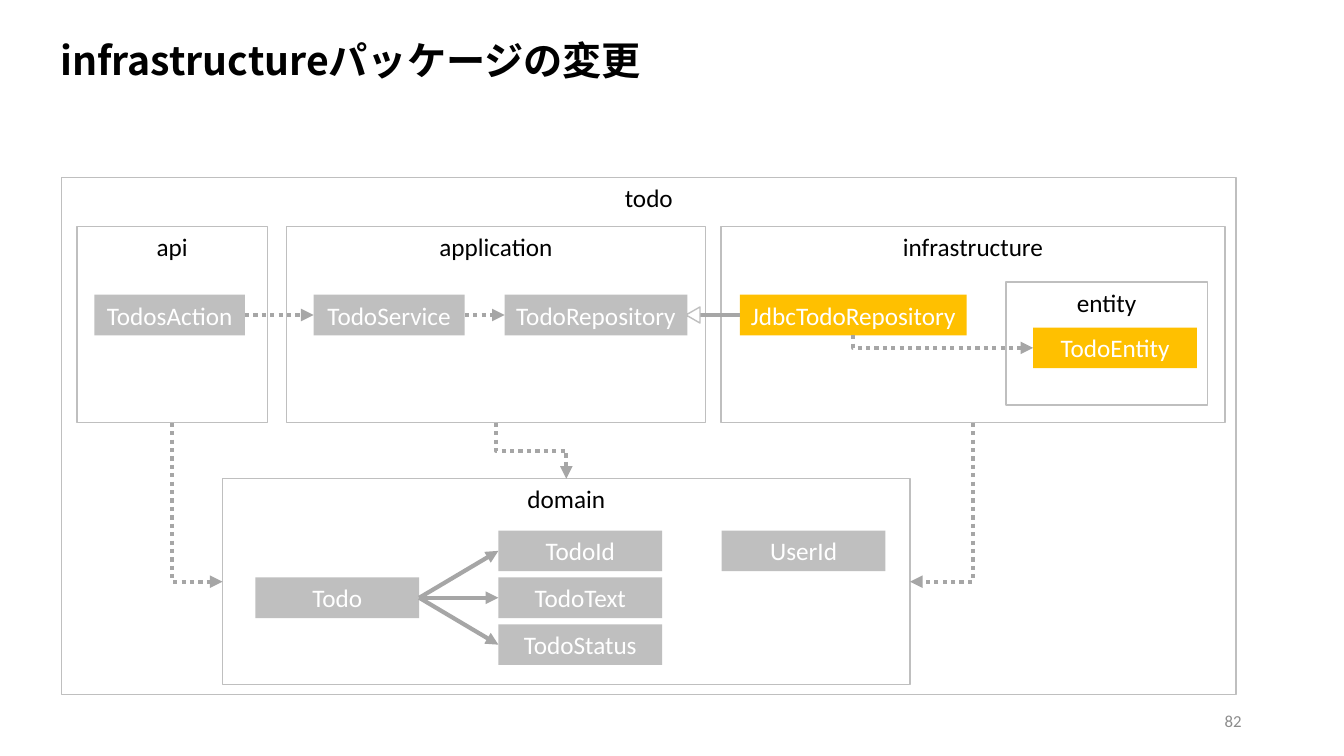
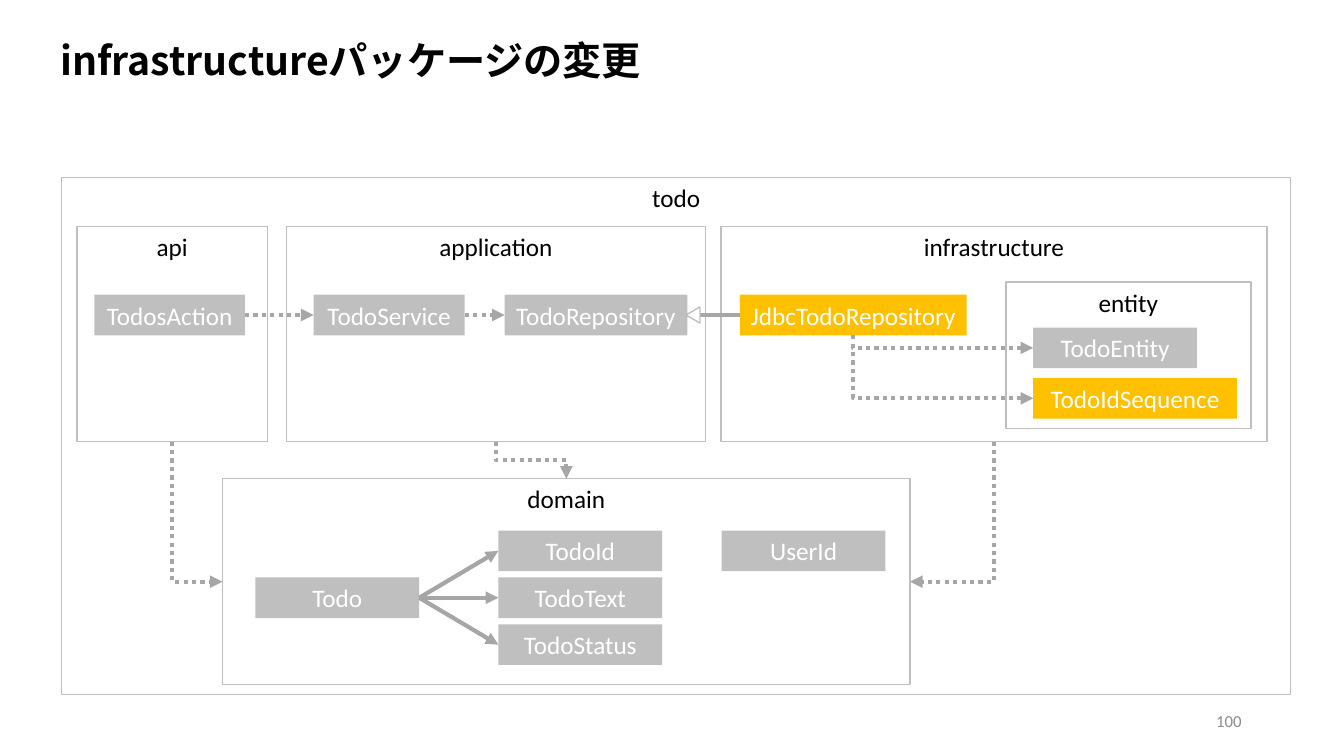
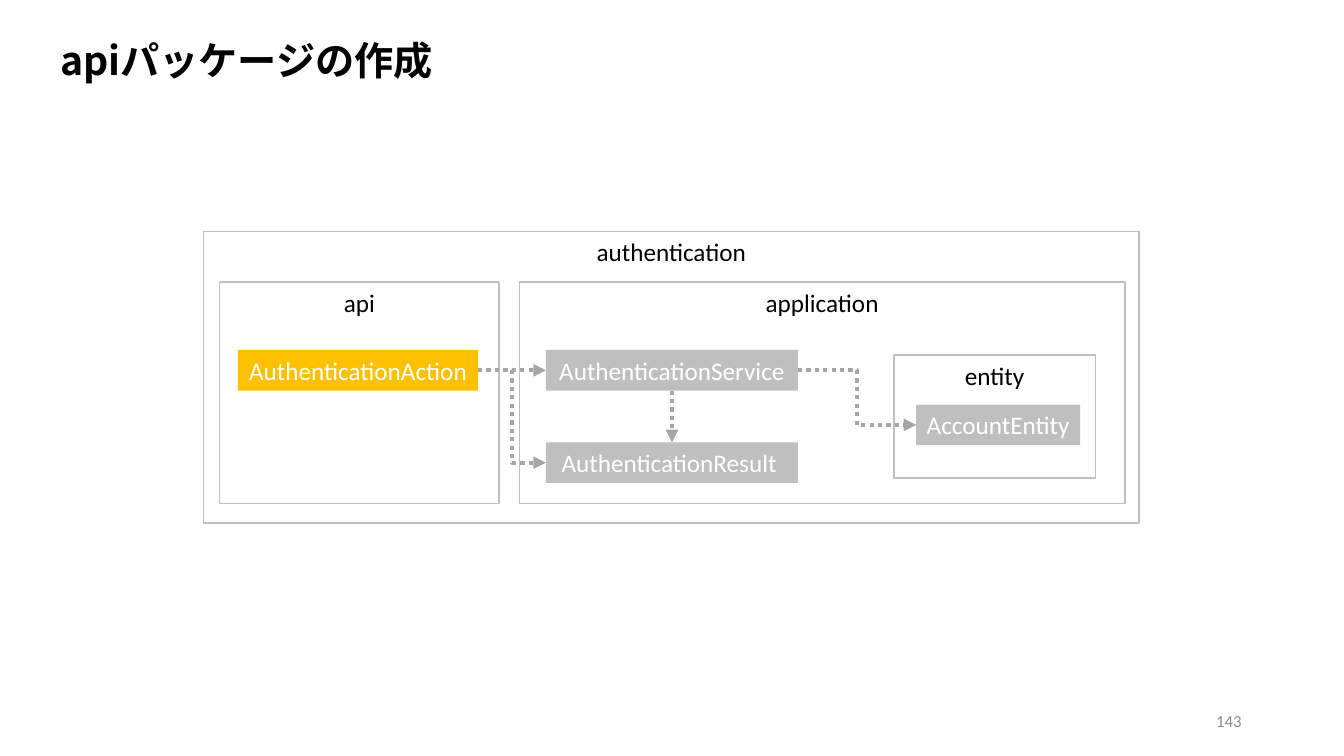
"""Build three package-dependency slides."""
from pptx import Presentation
from pptx.dml.color import RGBColor
from pptx.enum.dml import MSO_LINE
from pptx.enum.shapes import MSO_CONNECTOR, MSO_SHAPE
from pptx.enum.text import MSO_ANCHOR, PP_ALIGN
from pptx.oxml.ns import qn
from pptx.oxml.xmlchemy import OxmlElement
from pptx.util import Pt

RECTANGLE, TRIANGLE = MSO_SHAPE.RECTANGLE, MSO_SHAPE.ISOSCELES_TRIANGLE
STRAIGHT, ELBOW = MSO_CONNECTOR.STRAIGHT, MSO_CONNECTOR.ELBOW
LEFT, CENTER, RIGHT = PP_ALIGN.LEFT, PP_ALIGN.CENTER, PP_ALIGN.RIGHT
TOP, MIDDLE = MSO_ANCHOR.TOP, MSO_ANCHOR.MIDDLE
DOTTED = MSO_LINE.ROUND_DOT
TOP_SIDE, LEFT_SIDE, BOTTOM_SIDE, RIGHT_SIDE = range(4)

COLORS = {"text": "000000", "white": "FFFFFF", "gray": "BFBFBF",
          "highlight": "FFC000", "arrow": "A6A6A6", "page": "8C8C8C"}
BODY_FONT, TITLE_FONT = "Calibri", "Noto Sans CJK JP"
CLASS_HEIGHT = 29

ROW_TOP, CLASS_TOP = 162, 210.5
DOMAIN_TOP, DOMAIN_STEP, DOMAIN_CLASS_WIDTH = 379, 33.5, 117


def todo_packages(width, row_height, infrastructure_width, entity_size):
    """Return the package frames of the todo application."""
    return {
        "todo": (44, 127, width, 369),
        "api": (55, ROW_TOP, 136, row_height),
        "application": (204.5, ROW_TOP, 299.5, row_height),
        "infrastructure": (515, ROW_TOP, infrastructure_width, row_height),
        "domain": (159, 342, 491, 147),
        "entity": (718.5, 201.5, *entity_size),
    }


TODO_CLASSES = {
    "TodosAction": (67.5, CLASS_TOP, 107.5),
    "TodoService": (224, CLASS_TOP, 108),
    "TodoRepository": (360.5, CLASS_TOP, 130.5),
    "JdbcTodoRepository": (528.5, CLASS_TOP, 162),
    "Todo": (182.5, DOMAIN_TOP + DOMAIN_STEP, DOMAIN_CLASS_WIDTH),
    **{name: (356, DOMAIN_TOP + index * DOMAIN_STEP, DOMAIN_CLASS_WIDTH)
       for index, name in enumerate(("TodoId", "TodoText", "TodoStatus"))},
    "UserId": (515.5, DOMAIN_TOP, DOMAIN_CLASS_WIDTH),
    "TodoEntity": (738, 234, 117),
}
TODO_USES = [
    ("TodosAction", RIGHT_SIDE, "TodoService", LEFT_SIDE),
    ("TodoService", RIGHT_SIDE, "TodoRepository", LEFT_SIDE),
    ("JdbcTodoRepository", BOTTOM_SIDE, "TodoEntity", LEFT_SIDE),
    ("infrastructure", BOTTOM_SIDE, "domain", RIGHT_SIDE),
    ("application", BOTTOM_SIDE, "domain", TOP_SIDE),
    ("api", BOTTOM_SIDE, "domain", LEFT_SIDE),
]
TODO_OWNS = [("Todo", name) for name in ("TodoId", "TodoText", "TodoStatus")]
TODO_INHERITS = [("JdbcTodoRepository", "TodoRepository")]

SLIDES = [
    {
        "title": "infrastructureパッケージの変更", "page": "82",
        "packages": todo_packages(839, 140, 360, (144, 88)),
        "classes": TODO_CLASSES,
        "highlights": {"JdbcTodoRepository", "TodoEntity"},
        "uses": TODO_USES, "owns": TODO_OWNS, "inherits": TODO_INHERITS,
    },
    {
        "title": "infrastructureパッケージの変更", "page": "100",
        "packages": todo_packages(878, 153.5, 390, (175, 104.5)),
        "classes": {**TODO_CLASSES, "TodoIdSequence": (738, 270, 145.5)},
        "highlights": {"JdbcTodoRepository", "TodoIdSequence"},
        "uses": TODO_USES + [
            ("JdbcTodoRepository", BOTTOM_SIDE, "TodoIdSequence", LEFT_SIDE)],
        "owns": TODO_OWNS, "inherits": TODO_INHERITS,
    },
    {
        "title": "apiパッケージの作成", "page": "143",
        "packages": {
            "authentication": (145.5, 165.5, 668, 208),
            "api": (157, 201.5, 199.5, 158),
            "application": (371, 201.5, 432.5, 158),
            "entity": (638.5, 253.5, 144, 88),
        },
        "classes": {
            "AuthenticationAction": (170, 250, 171.5),
            "AuthenticationService": (390, 250, 180),
            "AuthenticationResult ": (390, 316, 180),
            "AccountEntity": (654.5, 289, 117),
        },
        "highlights": {"AuthenticationAction"},
        "uses": [
            ("AuthenticationAction", RIGHT_SIDE, "AuthenticationService", LEFT_SIDE),
            ("AuthenticationService", BOTTOM_SIDE, "AuthenticationResult ", TOP_SIDE),
            ("AuthenticationService", RIGHT_SIDE, "AccountEntity", LEFT_SIDE),
            ("AuthenticationAction", RIGHT_SIDE, "AuthenticationResult ", LEFT_SIDE),
        ],
        "owns": [], "inherits": [],
    },
]


def color(name):
    """Return the named colour."""
    return RGBColor.from_string(COLORS[name])


def write(shape, text, size=18, font=BODY_FONT, fill="text", bold=False,
          align=CENTER, anchor=TOP, wrap=True, spacing=None):
    """Write one formatted paragraph into a shape."""
    frame = shape.text_frame
    frame.word_wrap = wrap
    frame.vertical_anchor = anchor
    paragraph = frame.paragraphs[0]
    paragraph.alignment = align
    paragraph.line_spacing = spacing
    run = paragraph.add_run()
    run.text = text
    run.font.size, run.font.name, run.font.bold = Pt(size), font, bold
    run.font.color.rgb = color(fill)
    east_asian = OxmlElement("a:ea")
    east_asian.set("typeface", font)
    run.font._element.find(qn("a:latin")).addnext(east_asian)


def add_text(slide, text, box, **style):
    """Add a text box."""
    write(slide.shapes.add_textbox(*map(Pt, box)), text, **style)


def add_block(slide, kind, box, fill=None, line=None):
    """Add a flat preset shape."""
    shape = slide.shapes.add_shape(kind, *map(Pt, box))
    shape.shadow.inherit = False
    if fill:
        shape.fill.solid()
        shape.fill.fore_color.rgb = color(fill)
    else:
        shape.fill.background()
    if line:
        shape.line.color.rgb = color(line)
        shape.line.width = Pt(1)
    else:
        shape.line.fill.background()
    return shape


def side_point(shape, side):
    """Return the middle of one side of a shape."""
    x = {LEFT_SIDE: 0, RIGHT_SIDE: shape.width}.get(side, shape.width // 2)
    y = {TOP_SIDE: 0, BOTTOM_SIDE: shape.height}.get(side, shape.height // 2)
    return shape.left + x, shape.top + y


def style_connector(connector, dotted, arrow):
    """Set the line style shared by all connectors."""
    connector.line.color.rgb = color("arrow")
    connector.line.width = Pt(3)
    if dotted:
        connector.line.dash_style = DOTTED
    if arrow:
        tail = OxmlElement("a:tailEnd")
        tail.set("type", "triangle")
        connector.line._get_or_add_ln().append(tail)
    connector._element.spPr.append(OxmlElement("a:effectLst"))


def add_straight(slide, source, source_side, target, target_side,
                 dotted=False, arrow=True):
    """Join two shapes with a straight line."""
    connector = slide.shapes.add_connector(STRAIGHT, 0, 0, 0, 0)
    connector.begin_connect(source, source_side)
    connector.end_connect(target, target_side)
    style_connector(connector, dotted, arrow)


def add_elbow(slide, start, end, from_bottom, to_top):
    """Draw a dotted elbow arrow, turned when it starts downwards."""
    (x1, y1), (x2, y2) = start, end
    if from_bottom:
        middle_x, middle_y = (x1 + x2) // 2, (y1 + y2) // 2
        half_width, half_height = (y2 - y1) // 2, abs(x2 - x1) // 2
        if x2 > x1:
            half_width = -half_width
        x1, x2 = middle_x - half_width, middle_x + half_width
        y1, y2 = middle_y - half_height, middle_y + half_height
    connector = slide.shapes.add_connector(ELBOW, x1, y1, x2, y2)
    properties = connector._element.spPr
    if from_bottom:
        degrees = 270 if end[0] > start[0] else 90
        properties.find(qn("a:xfrm")).set("rot", str(degrees * 60000))
        if not to_top:
            properties.find(qn("a:prstGeom")).set("prst", "bentConnector2")
    style_connector(connector, True, True)


def add_use(slide, source, source_side, target, target_side):
    """Draw a dotted dependency, straight where the sides line up."""
    start, end = side_point(source, source_side), side_point(target, target_side)
    if start[0] == end[0] or start[1] == end[1]:
        add_straight(slide, source, source_side, target, target_side, dotted=True)
    else:
        add_elbow(slide, start, end, source_side == BOTTOM_SIDE,
                  target_side == TOP_SIDE)


def add_inheritance(slide, child, parent):
    """Draw a solid line with a hollow triangle at the parent."""
    add_straight(slide, child, LEFT_SIDE, parent, RIGHT_SIDE, arrow=False)
    x, y = side_point(parent, RIGHT_SIDE)
    width, height = 11.5, 10
    box = (x.pt + 4 - width / 2, y.pt - height / 2, width, height) \
        if hasattr(x, "pt") else \
        (x / Pt(1) + 4 - width / 2, y / Pt(1) - height / 2, width, height)
    add_block(slide, TRIANGLE, box, fill="white", line="gray").rotation = 270


def build_slide(presentation, content):
    """Build one diagram slide."""
    slide = presentation.slides.add_slide(presentation.slide_layouts[6])
    add_text(slide, content["title"], (36, 26.5, 710, 41), size=28,
             font=TITLE_FONT, bold=True, align=LEFT, spacing=0.9)
    add_text(slide, content["page"], (678, 500.5, 216, 29), size=12,
             fill="page", align=RIGHT, anchor=MIDDLE)
    shapes = {}
    for name, box in content["packages"].items():
        shapes[name] = add_block(slide, RECTANGLE, box, line="gray")
        write(shapes[name], name)
    for name, box in content["classes"].items():
        fill = "highlight" if name in content["highlights"] else "gray"
        shapes[name] = add_block(slide, RECTANGLE, (*box, CLASS_HEIGHT), fill=fill)
        write(shapes[name], name, fill="white", anchor=MIDDLE, wrap=False)
    for source, source_side, target, target_side in content["uses"]:
        add_use(slide, shapes[source], source_side, shapes[target], target_side)
    for owner, part in content["owns"]:
        add_straight(slide, shapes[owner], RIGHT_SIDE, shapes[part], LEFT_SIDE)
    for child, parent in content["inherits"]:
        add_inheritance(slide, shapes[child], shapes[parent])


def main():
    """Build and save the presentation."""
    presentation = Presentation()
    presentation.slide_width, presentation.slide_height = Pt(960), Pt(540)
    for content in SLIDES:
        build_slide(presentation, content)
    presentation.save("out.pptx")


if __name__ == "__main__":
    main()
